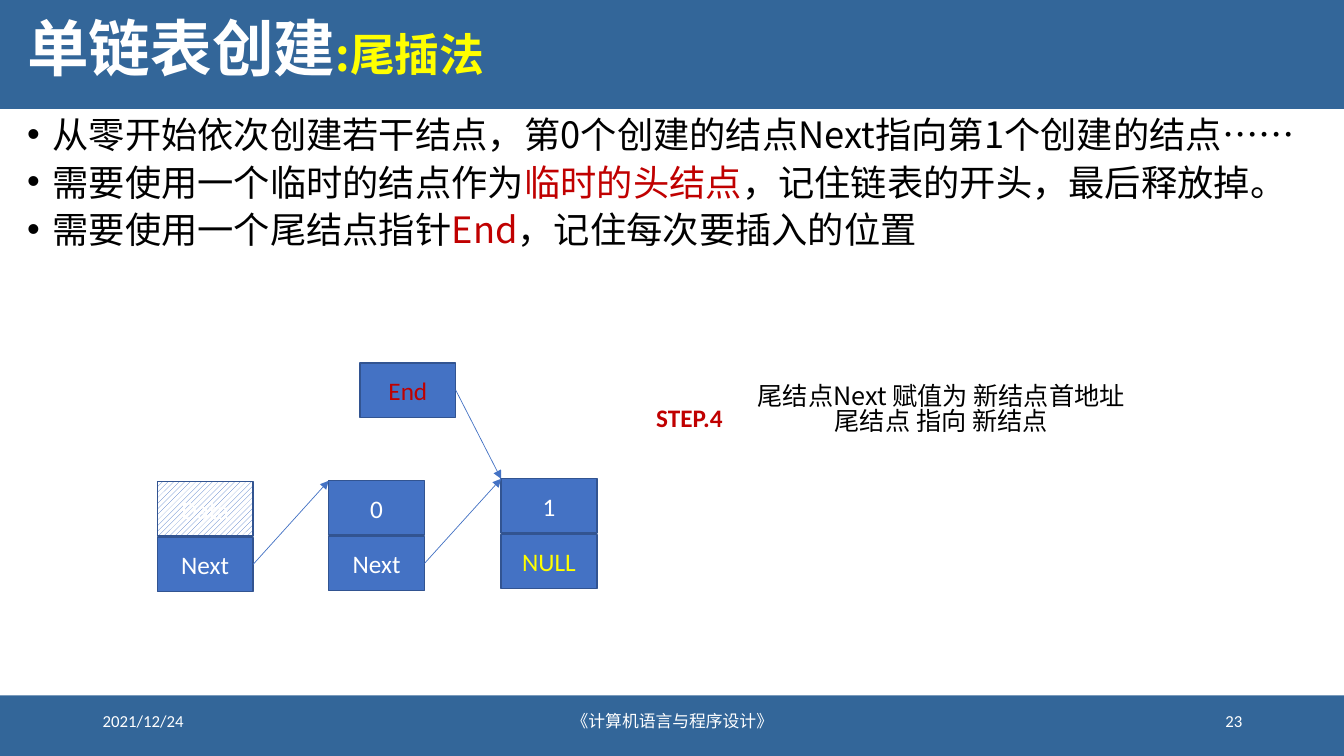
"""Build the slide on creating a singly linked list by tail insertion."""
from lxml.etree import SubElement
from pptx import Presentation
from pptx.dml.color import RGBColor
from pptx.enum.dml import MSO_PATTERN
from pptx.enum.shapes import MSO_CONNECTOR, MSO_SHAPE
from pptx.enum.text import MSO_ANCHOR, MSO_AUTO_SIZE, PP_ALIGN
from pptx.oxml.ns import qn
from pptx.util import Inches, Pt

BAND = RGBColor(0x33, 0x66, 0x99)
BLUE = RGBColor(0x44, 0x72, 0xC4)
EDGE = RGBColor(0x32, 0x54, 0x91)
WHITE = RGBColor(0xFF, 0xFF, 0xFF)
BLACK = RGBColor(0, 0, 0)
RED = RGBColor(0xC0, 0, 0)
YELLOW = RGBColor(0xFF, 0xFF, 0)
LATIN, CJK = "Calibri", "Noto Sans CJK SC"
CELL_W, CELL_H = 0.95, 0.54


def write(paragraph, text, size=18, color=WHITE, face=LATIN, bold=False, align=PP_ALIGN.CENTER):
    paragraph.alignment = align
    run = paragraph.add_run()
    run.text = text
    run.font.size = Pt(size)
    run.font.bold = bold
    run.font.color.rgb = color
    run.font.name = face
    SubElement(run.font._element, qn("a:ea")).set("typeface", CJK)


def add_cell(shapes, left, top, label, color=WHITE):
    cell = shapes.add_shape(MSO_SHAPE.RECTANGLE, Inches(left), Inches(top),
                            Inches(CELL_W), Inches(CELL_H))
    cell.shadow.inherit = False
    cell.fill.solid()
    cell.fill.fore_color.rgb = BLUE
    cell.line.color.rgb = EDGE
    cell.line.width = Pt(1)
    cell.text_frame.vertical_anchor = MSO_ANCHOR.MIDDLE
    write(cell.text_frame.paragraphs[0], label, color=color)
    return cell


prs = Presentation()
prs.slide_width, prs.slide_height = Inches(13.33), Inches(7.5)
slide = prs.slides.add_slide(prs.slide_layouts[1])
shapes = slide.shapes

for top, height in ((0, 1.08), (6.9, 0.6)):
    band = shapes.add_shape(MSO_SHAPE.RECTANGLE, 0, Inches(top), prs.slide_width, Inches(height))
    band.shadow.inherit = False
    band.fill.solid()
    band.fill.fore_color.rgb = BAND
    band.line.fill.background()
    shapes._spTree.insert(2, band._element)

title = shapes.title
title.left, title.top, title.width, title.height = Inches(0.17), 0, Inches(12.87), Inches(1.03)
title.text_frame.vertical_anchor = MSO_ANCHOR.MIDDLE
title.text_frame.auto_size = MSO_AUTO_SIZE.NONE
heading = title.text_frame.paragraphs[0]
heading.line_spacing = 0.9
for text, size, color in (("单链表创建", 44, WHITE), (":尾插法", 32, YELLOW)):
    write(heading, text, size=size, color=color, face=CJK, bold=True, align=PP_ALIGN.LEFT)

points = (
    (("从零开始依次创建若干结点，第0个创建的结点Next指向第1个创建的结点……", BLACK),),
    (("需要使用一个临时的结点作为", BLACK), ("临时的头结点", RED),
     ("，记住链表的开头，最后释放掉。", BLACK)),
    (("需要使用一个尾结点指针", BLACK), ("End", RED), ("，记住每次要插入的位置", BLACK)),
)
body = slide.placeholders[1]
body.left, body.top, body.width, body.height = (Inches(n) for n in (0.17, 1.16, 12.87, 1.71))
body.text_frame.auto_size = MSO_AUTO_SIZE.NONE
for index, parts in enumerate(points):
    point = body.text_frame.add_paragraph() if index else body.text_frame.paragraphs[0]
    properties = point._p.get_or_add_pPr()
    properties.set("marL", str(Inches(0.25)))
    properties.set("indent", str(-Inches(0.25)))
    point.line_spacing = 0.77
    point.space_before = Pt(10 if index else 0)
    for text, color in parts:
        write(point, text, size=25.9, color=color, face=CJK, align=PP_ALIGN.LEFT)

nodes = (
    (1.56, 4.78, "Data", "Next", WHITE),
    (3.26, 4.77, "0", "Next", WHITE),
    (4.97, 4.75, "1", "NULL", YELLOW),
)
data_cells, next_cells = [], []
for left, top, data, link, link_color in nodes:
    node = shapes.add_group_shape()
    data_cells.append(add_cell(node.shapes, left, top, data))
    next_cells.append(add_cell(node.shapes, left, top + 0.55, link, link_color))
head_fill = data_cells[0].fill
head_fill.patterned()
head_fill.pattern = MSO_PATTERN.WIDE_UPWARD_DIAGONAL
head_fill.fore_color.rgb = BLUE
head_fill.back_color.rgb = WHITE
end_cell = add_cell(shapes, 3.57, 3.6, "End", RED)

for source, target in ((next_cells[0], data_cells[1]), (next_cells[1], data_cells[2]),
                       (end_cell, data_cells[2])):
    arrow = shapes.add_connector(MSO_CONNECTOR.STRAIGHT, 0, 0, target.left, target.top)
    arrow.begin_connect(source, 3)
    arrow.line.color.rgb = BLUE
    arrow.line.width = Pt(0.5)
    SubElement(arrow.line._get_or_add_ln(), qn("a:tailEnd")).set("type", "triangle")
    SubElement(arrow._element.spPr, qn("a:effectLst"))

step = {"color": RED, "bold": True, "align": PP_ALIGN.LEFT}
action = {"color": BLACK, "face": CJK}
captions = (
    (0.92, 6.95, 3, 0.4, ("2021/12/24",), {"size": 12, "align": PP_ALIGN.LEFT}),
    (4.42, 6.95, 4.5, 0.4, ("《计算机语言与程序设计》",), {"size": 12}),
    (9.42, 6.95, 3, 0.4, ("23",), {"size": 12, "align": PP_ALIGN.RIGHT}),
    (6.41, 3.94, 1.1, 0.4, ("STEP.4",), step),
    (7.36, 3.78, 3.95, 1, ("尾结点Next 赋值为 新结点首地址", "尾结点 指向 新结点"), action),
)
for left, top, width, height, lines, style in captions:
    caption = shapes.add_textbox(Inches(left), Inches(top), Inches(width), Inches(height)).text_frame
    caption.word_wrap = True
    caption.vertical_anchor = MSO_ANCHOR.MIDDLE if top > 6 else MSO_ANCHOR.TOP
    for index, text in enumerate(lines):
        line = caption.add_paragraph() if index else caption.paragraphs[0]
        line.line_spacing = 0.82 if style is action else 1.0
        write(line, text, **style)

prs.save("out.pptx")
